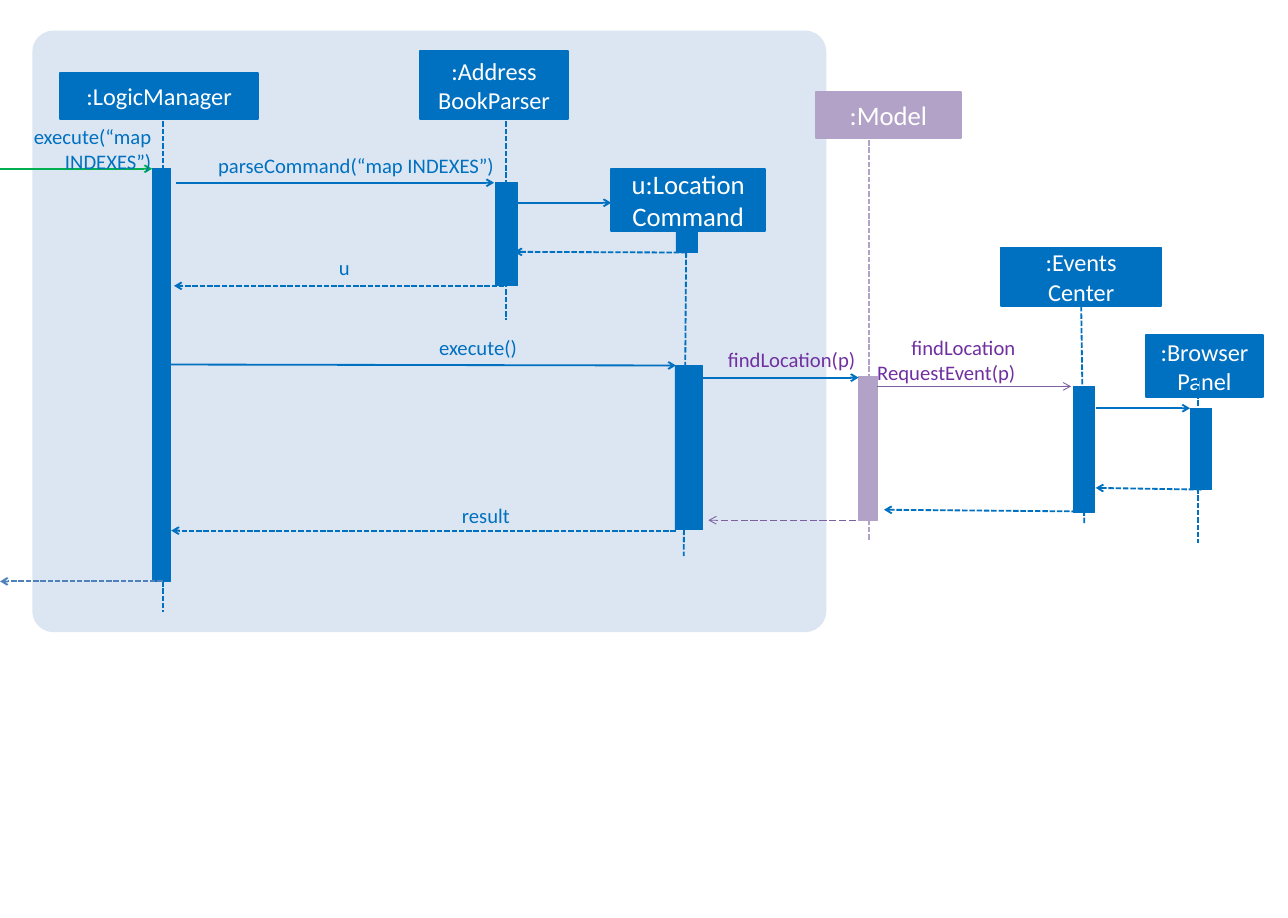
from dataclasses import dataclass

from lxml.etree import SubElement
from pptx import Presentation
from pptx.dml.color import RGBColor
from pptx.enum.dml import MSO_LINE
from pptx.enum.shapes import MSO_CONNECTOR, MSO_SHAPE
from pptx.enum.text import MSO_ANCHOR, MSO_AUTO_SIZE, PP_ALIGN
from pptx.oxml.ns import qn
from pptx.util import Pt


@dataclass(frozen=True)
class Theme:
    font: str = "Calibri"
    blue: str = "0070C0"
    pale: str = "DCE6F2"
    steel: str = "4F81BD"
    green: str = "00B050"
    lilac: str = "B3A2C7"
    violet: str = "7D60A0"
    purple: str = "7030A0"
    white: str = "FFFFFF"
    head_size: float = 20
    large_head_size: float = 22
    label_size: float = 17
    line: float = 1.5
    thin: float = 0.75


THEME = Theme()


def color(value):
    return RGBColor.from_string(value)


def add_block(page, bounds, fill, width=None, kind=MSO_SHAPE.RECTANGLE):
    block = page.shapes.add_shape(kind, *map(Pt, bounds))
    block.shadow.inherit = False
    block.fill.solid()
    block.fill.fore_color.rgb = color(fill)
    if width is None:
        block.line.fill.background()
    else:
        block.line.color.rgb = color(fill)
        block.line.width = Pt(width)
    return block


def write(frame, text, size, ink, align, insets):
    frame.word_wrap = True
    frame.margin_left = frame.margin_right = Pt(insets[0])
    frame.margin_top = frame.margin_bottom = Pt(insets[1])
    frame.text = text
    for para in frame.paragraphs:
        para.alignment = align
        para.font.name = THEME.font
        para.font.size = Pt(size)
        para.font.color.rgb = color(ink)


def add_head(page, text, bounds, fill=THEME.blue, size=THEME.head_size):
    head = add_block(page, bounds, fill, THEME.line)
    head.text_frame.vertical_anchor = MSO_ANCHOR.MIDDLE
    write(head.text_frame, text, size, THEME.white, PP_ALIGN.CENTER, (10, 5))
    return head


def add_label(page, text, bounds, ink=THEME.blue):
    box = page.shapes.add_textbox(*map(Pt, bounds))
    write(box.text_frame, text, THEME.label_size, ink, PP_ALIGN.RIGHT, (0, 0))
    box.text_frame.auto_size = MSO_AUTO_SIZE.SHAPE_TO_FIT_TEXT


def add_line(page, ends, ink=THEME.blue, width=THEME.line, dash=None):
    line = page.shapes.add_connector(MSO_CONNECTOR.STRAIGHT, *map(Pt, ends))
    line.line.color.rgb = color(ink)
    line.line.width = Pt(width)
    if dash is not None:
        line.line.dash_style = dash
    SubElement(line._element.spPr, qn("a:effectLst"))
    return line


def add_lifeline(page, ends, ink=THEME.blue):
    return add_line(page, ends, ink, dash=MSO_LINE.SQUARE_DOT)


def add_message(page, ends, ink=THEME.blue, width=THEME.line, dash=None):
    message = add_line(page, ends, ink, width, dash)
    SubElement(message.line._get_or_add_ln(), qn("a:tailEnd"), type="arrow")


def add_reply(page, ends, ink=THEME.blue):
    add_message(page, ends, ink, dash=MSO_LINE.SQUARE_DOT)


def add_participants(page):
    add_head(page, ":LogicManager", (49.7, 59.8, 162.7, 38.2))
    add_head(page, ":Address\nBookParser", (345.6, 41.8, 122.4, 56.2))
    add_head(page, ":Model", (671.8, 75.6, 119.5, 38.2), THEME.lilac, THEME.large_head_size)
    events = add_head(page, ":Events Center", (824.4, 203.8, 131.8, 48.2))
    add_head(page, ":BrowserPanel", (943.9, 275.8, 95.8, 51.1))

    for ends in (
        (133.9, 100, 133.9, 504),
        (416.9, 100, 416.9, 263.5),
        (565.2, 177.8, 563, 458),
        (986.4, 311.8, 986.4, 447),
    ):
        add_lifeline(page, ends)
    add_lifeline(page, (715.7, 109.4, 715.7, 445), THEME.lilac)
    add_lifeline(page, (890.3, 252, 892.8, 432)).begin_connect(events, 2)

    for bounds in (
        (125.3, 139, 15.1, 339.8),
        (408.2, 150.5, 18, 85),
        (556.6, 177.8, 18, 30.2),
        (555.8, 301, 23, 135.4),
        (884.2, 318.2, 17.3, 103.7),
        (979.9, 336.2, 18, 67),
    ):
        add_block(page, bounds, THEME.blue, THEME.thin)
    add_block(page, (707, 310.3, 15.8, 118), THEME.lilac, THEME.thin)
    add_head(page, "u:Location\vCommand", (503.3, 139, 126.7, 51.1), size=THEME.large_head_size)


def add_messages(page):
    add_message(page, (0, 139, 125.3, 139), THEME.green)
    for ends in (
        (144.7, 150.5, 406.8, 150.5),
        (426.2, 167, 503.3, 167),
        (140.4, 300.2, 556.6, 301),
        (574.6, 311, 707, 311),
        (902.2, 336.2, 979.9, 336.2),
    ):
        add_message(page, ends)
    add_message(page, (722.2, 318.2, 882, 318.2), THEME.violet, THEME.thin)

    for ends in (
        (565.2, 208, 423.4, 207.4),
        (415.4, 235.4, 143.3, 235.4),
        (989.3, 403.2, 902.2, 401.8),
        (892.8, 421.2, 727.9, 419.8),
        (556.6, 437, 141, 437),
    ):
        add_reply(page, ends)
    add_reply(page, (133.9, 478.8, 0, 478.8), THEME.steel)
    add_message(page, (704.9, 428.4, 583.2, 428.4), THEME.violet, THEME.thin, MSO_LINE.LONG_DASH)


def add_labels(page):
    for text, bounds in (
        ("execute(“map INDEXES”)", (0, 102.2, 124.6, 41)),
        ("parseCommand(“map INDEXES”)", (150.5, 126, 256.3, 21)),
        ("u", (262.8, 210.2, 25.2, 21)),
        ("execute()", (326.2, 275.8, 99.4, 21)),
        ("result", (320.4, 414, 99.4, 41)),
    ):
        add_label(page, text, bounds)
    add_label(page, "findLocation(p)", (539.3, 285.8, 164.9, 21), THEME.purple)
    add_label(page, "findLocation\nRequestEvent(p)", (686.2, 275.8, 149.8, 41), THEME.purple)


def main():
    deck = Presentation()
    deck.slide_width, deck.slide_height = Pt(1060.56), Pt(756)
    page = deck.slides.add_slide(deck.slide_layouts[6])
    panel = add_block(page, (26.6, 25.2, 653.8, 495.4), THEME.pale, kind=MSO_SHAPE.ROUNDED_RECTANGLE)
    panel.adjustments[0] = 0.035
    add_participants(page)
    add_messages(page)
    add_labels(page)
    deck.save("out.pptx")


if __name__ == "__main__":
    main()
